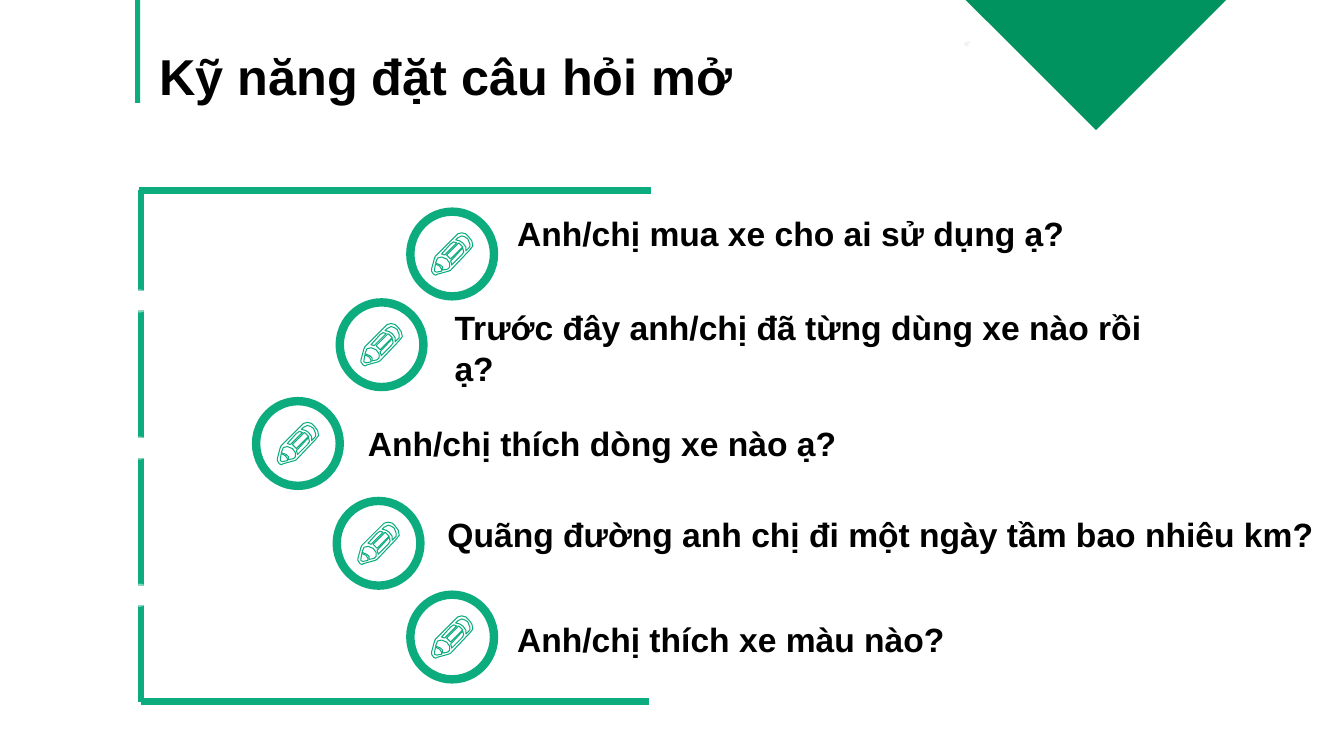
from lxml import etree
from pptx import Presentation
from pptx.dml.color import RGBColor
from pptx.enum import shapes, text
from pptx.oxml import ns
from pptx.util import Inches, Pt

GREEN = RGBColor(0x0C, 0xAC, 0x7E)
DARK_GREEN = RGBColor(0x00, 0x92, 0x5F)
WHITE = RGBColor(0xFF, 0xFF, 0xFF)
PALE_GREY = RGBColor(0xF2, 0xF2, 0xF2)
BLACK = RGBColor(0x00, 0x00, 0x00)

# Outlines in hundredths of an inch
PENCIL = [
    [(37, 4), (34, 1), (30, 0), (26, 1), (24, 3), (18, 9), (4, 23), (3, 25), (0, 36), (0, 38),
     (2, 41), (4, 42), (6, 41), (17, 38), (19, 37), (38, 17), (41, 13), (40, 8)],
    [(36, 16), (34, 18), (34, 14), (31, 10), (28, 8), (24, 7), (26, 5), (30, 3), (33, 4),
     (36, 6), (38, 11), (38, 14)],
    [(11, 37), (11, 34), (9, 32), (4, 30), (6, 25), (10, 24), (15, 26), (18, 30), (18, 34), (16, 36)],
    [(5, 39), (3, 38), (3, 36), (4, 31), (8, 33), (10, 36), (10, 38)],
    [(13, 22), (10, 21), (19, 11), (22, 9), (25, 10)],
    [(19, 26), (17, 24), (15, 22), (27, 10), (29, 12), (31, 14)],
    [(20, 32), (20, 31), (19, 28), (31, 15), (32, 19), (30, 22)],
]
SPECK = [[(6, 4), (5, 5), (4, 4), (6, 1), (5, 0), (1, 1), (0, 2), (2, 5), (5, 5)]]

# Question, text left, top and width, ring left and top
QUESTIONS = [
    ("Anh/chị mua xe cho ai sử dụng ạ?", 5.03, 2.06, 7.48, 4.07, 2.1),
    ("Trước đây anh/chị đã từng dùng xe nào rồi ạ?", 4.41, 3, 7.49, 3.37, 3),
    ("Anh/chị thích dòng xe nào ạ?", 3.55, 4.15, 7.87, 2.54, 3.98),
    ("Quãng đường anh chị đi một ngày tầm bao nhiêu km?", 4.34, 5.05, 8.97, 3.34, 4.97),
    ("Anh/chị thích xe màu nào?", 5.03, 6.09, 6.9, 4.07, 5.9),
]

prs = Presentation()
prs.slide_width, prs.slide_height = Inches(13.33), Inches(7.5)
slide = prs.slides.add_slide(prs.slide_layouts[6])


def paint(shape, fill, line=None, width=0, fill_alpha=100, line_alpha=100):
    """Set fill and outline; the alphas are percentages of opacity."""
    shape.shadow.inherit = False
    shape.fill.solid()
    shape.fill.fore_color.rgb = fill
    if line is None:
        shape.line.fill.background()
    else:
        shape.line.color.rgb = line
        shape.line.width = Pt(width)
    colours = shape._element.spPr.iter(ns.qn("a:srgbClr"))
    for colour, alpha in zip(colours, (fill_alpha, line_alpha)):
        if alpha < 100:
            etree.SubElement(colour, ns.qn("a:alpha"), val=str(alpha * 1000))


def add_outline(contours, left, top):
    """Add a closed freeform with its local origin at left, top."""
    builder = slide.shapes.build_freeform(*contours[0][0], scale=Inches(0.01))
    for number, contour in enumerate(contours):
        if number:
            builder.move_to(*contour[0])
        builder.add_line_segments(contour[1:], close=True)
    return builder.convert_to_shape(Inches(left), Inches(top))


corner = slide.shapes.add_shape(shapes.MSO_SHAPE.RIGHT_TRIANGLE, Inches(9.95), Inches(-0.93),
                                Inches(1.84), Inches(1.84))
corner.rotation = 315
paint(corner, DARK_GREEN)

title_bar = slide.shapes.add_shape(shapes.MSO_SHAPE.RECTANGLE, Inches(1.34), 0,
                                   Inches(0.05), Inches(1.02))
paint(title_bar, GREEN)
paint(add_outline(SPECK, 9.56, 0.41), PALE_GREY)

# Bracket: a spine broken by knots, with an arm at each end
spine, top, bottom = 1.4, 1.89, 6.96
knot_size = 0.19
knot_tops = [2.89 + 1.46 * i for i in range(3)]
starts = [top] + [knot_top + knot_size for knot_top in knot_tops]
bracket = [(spine, start, spine, end) for start, end in zip(starts, knot_tops + [bottom])]
bracket += [(6.46, top, 1.38, top), (6.44, bottom, spine, bottom)]
for ends in bracket:
    stroke = slide.shapes.add_connector(shapes.MSO_CONNECTOR.STRAIGHT, *map(Inches, ends))
    stroke.line.color.rgb = GREEN
    stroke.line.width = Pt(4.5)
    etree.SubElement(stroke._element.spPr, ns.qn("a:effectLst"))

for knot_top in knot_tops:
    knot = slide.shapes.add_shape(shapes.MSO_SHAPE.OVAL, Inches(1.29), Inches(knot_top),
                                  Inches(knot_size), Inches(knot_size))
    paint(knot, WHITE, WHITE, 3, fill_alpha=20, line_alpha=50)

captions = [("Kỹ năng đặt câu hỏi mở", 1.58, 0.33, 6.2, 0.66, 36)]
for question, left, text_top, width, ring_left, ring_top in QUESTIONS:
    captions.append((question, left, text_top, width, 0.5, 24))
    ring = slide.shapes.add_shape(shapes.MSO_SHAPE.OVAL, Inches(ring_left), Inches(ring_top),
                                  Inches(0.83), Inches(0.84))
    paint(ring, WHITE, GREEN, 6, fill_alpha=20)
    paint(add_outline(PENCIL, ring_left + 0.21, ring_top + 0.21), WHITE, GREEN, 0.75)

for wording, left, text_top, width, height, size in captions:
    frame = slide.shapes.add_textbox(*map(Inches, (left, text_top, width, height))).text_frame
    frame.word_wrap = True
    frame.auto_size = text.MSO_AUTO_SIZE.SHAPE_TO_FIT_TEXT
    frame.text = wording
    if size == 36:
        frame.margin_left = frame.margin_right = frame.margin_top = frame.margin_bottom = 0
        frame.paragraphs[0].line_spacing = 1.2
    font = frame.paragraphs[0].runs[0].font
    font.name, font.size, font.bold = "Arial", Pt(size), True
    font.color.rgb = BLACK

prs.save("out.pptx")
